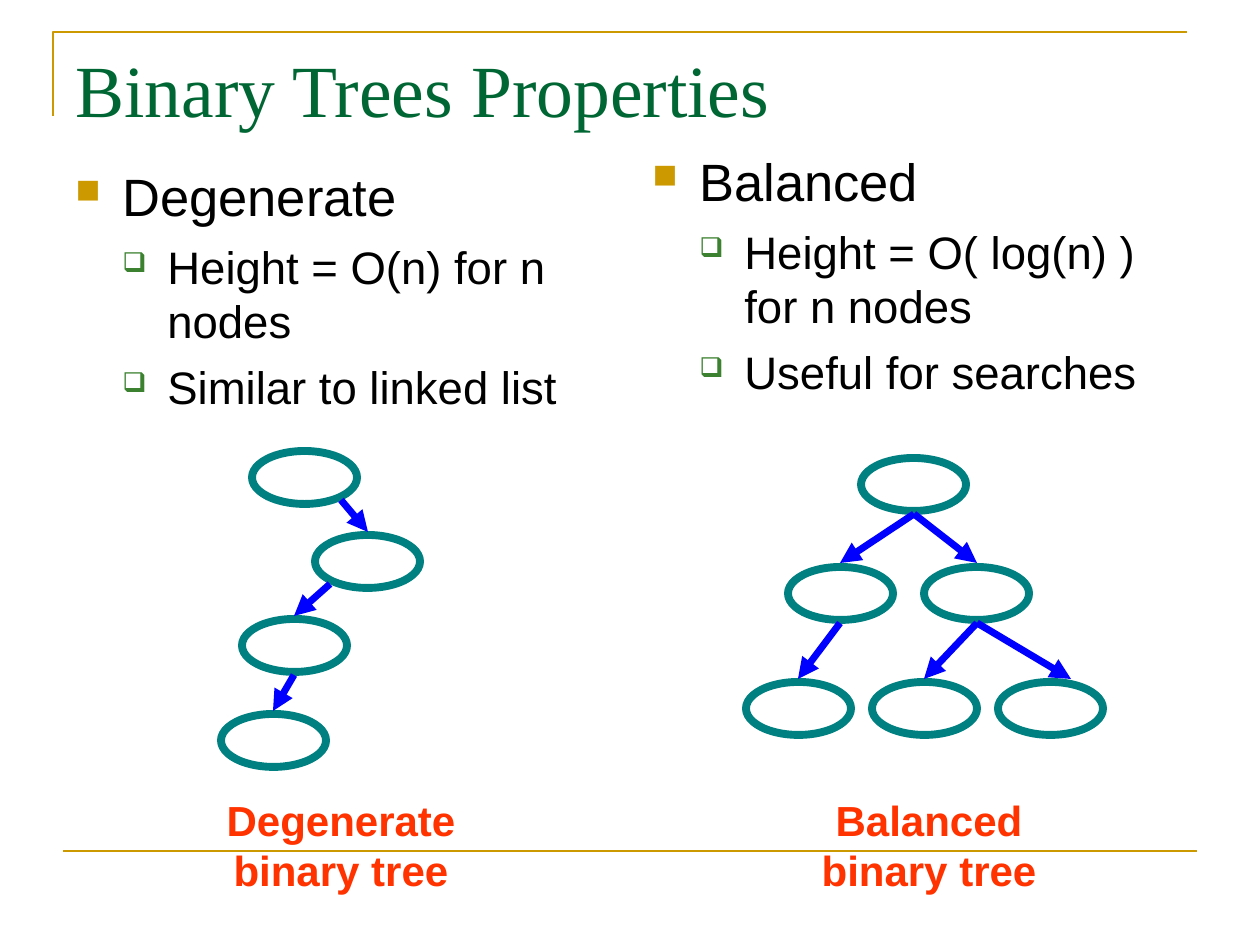
from lxml.etree import SubElement as Sub
from pptx import Presentation
from pptx.dml.color import RGBColor as Rgb
from pptx.enum.shapes import MSO_CONNECTOR as Con, MSO_SHAPE as Kind
from pptx.enum.text import PP_ALIGN as Align
from pptx.oxml.ns import qn
from pptx.util import Pt

UNIT = 914400 / 126
INK = {"gold": "CC9900", "title": "006633", "text": "000000", "box": "3B812F",
       "node": "008080", "edge": "0000FF", "label": "FF3300"}
NODE = (105, 53)
LEVELS = [
    {"size": 30, "gap": 7.5, "left": 47, "hang": 47, "mark": "■", "ink": "gold", "pct": 65},
    {"size": 26, "gap": 6.5, "left": 92, "hang": 45, "mark": "❑", "ink": "box", "pct": 60},
]
LISTS = [
    ((63, 158, 552, 624),
     ["Degenerate", "Height = O(n) for n nodes", "Similar to linked list"]),
    ((640, 143, 527, 625),
     ["Balanced", "Height = O( log(n) ) for n nodes", "Useful for searches"]),
]
NODES = [(252, 451), (315, 535), (242, 619), (221, 714),
         (861, 458), (788, 567), (924, 567), (746, 682), (872, 682), (998, 682)]
EDGES = [(341, 500, 368, 532), (330, 584, 294, 616), (294, 675, 273, 711),
         (914, 514, 840, 563), (914, 514, 977, 563), (840, 623, 798, 679),
         (977, 623, 924, 679), (977, 623, 1071, 679)]
LABELS = [(210, "Degenerate binary tree"), (798, "Balanced binary tree")]


def px(*nums):
    """Turn pixel lengths into EMU."""
    return [round(n * UNIT) for n in nums]


def rgb(name):
    """Look up a named colour."""
    return Rgb.from_string(INK[name])


def stroke(item, ink, width):
    """Set the colour and width of a line."""
    item.line.color.rgb = rgb(ink)
    item.line.width = Pt(width)


def style(para, size, ink, font="Arial", bold=False):
    """Format every run of a paragraph."""
    for run in para.runs:
        run.font.size = Pt(size)
        run.font.name = font
        run.font.bold = bold
        run.font.color.rgb = rgb(ink)


def add_text(slide, area, words):
    """Add a wrapping text box and return its frame."""
    frame = slide.shapes.add_textbox(*px(*area)).text_frame
    frame.word_wrap = True
    frame.text = words
    return frame


def add_mark(para, level):
    """Give a paragraph its indent and bullet."""
    left, hang = px(level["left"], level["hang"])
    props = para._p.get_or_add_pPr()
    props.set("marL", str(left))
    props.set("indent", str(-hang))
    tint = Sub(props, qn("a:buClr"))
    Sub(tint, qn("a:srgbClr"), val=INK[level["ink"]])
    Sub(props, qn("a:buSzPct"), val=str(level["pct"] * 1000))
    Sub(props, qn("a:buChar"), char=level["mark"])


def add_list(slide, area, lines):
    """Add a heading with bulleted points below it."""
    frame = add_text(slide, area, "\n".join(lines))
    for i, para in enumerate(frame.paragraphs):
        level = LEVELS[min(i, 1)]
        para.level = min(i, 1)
        para.space_before = Pt(level["gap"])
        add_mark(para, level)
        style(para, level["size"], "text")


def add_node(slide, left, top):
    """Add one hollow tree node."""
    node = slide.shapes.add_shape(Kind.OVAL, *px(left, top, *NODE))
    node.shadow.inherit = False
    node.fill.background()
    stroke(node, "node", 4.5)


def add_line(slide, ends, ink, width, arrow=False):
    """Add a straight line, with an arrowhead if asked."""
    line = slide.shapes.add_connector(Con.STRAIGHT, *px(*ends))
    stroke(line, ink, width)
    if arrow:
        Sub(line.line._get_or_add_ln(), qn("a:tailEnd"), type="triangle")
    Sub(line._element.spPr, qn("a:effectLst"))


def add_frame(slide):
    """Add the corner rule at the top and the rule at the foot."""
    start, *rest = [px(53, 116), px(53, 32), px(1187, 32)]
    pen = slide.shapes.build_freeform(*start)
    pen.add_line_segments(rest, close=False)
    rule = pen.convert_to_shape()
    rule.shadow.inherit = False
    rule.fill.background()
    stroke(rule, "gold", 1.5)
    add_line(slide, (63, 851, 1197, 851), "gold", 1.5)


def add_label(slide, left, words):
    """Add a centred caption under a tree."""
    para = add_text(slide, (left, 788, 262, 113), words).paragraphs[0]
    para.alignment = Align.CENTER
    style(para, 24, "label", bold=True)


def main():
    """Build and save the slide."""
    deck = Presentation()
    deck.slide_width, deck.slide_height = px(1260, 945)
    slide = deck.slides.add_slide(deck.slide_layouts[6])
    add_frame(slide)
    title = add_text(slide, (63, 38, 1134, 158), "Binary Trees Properties")
    style(title.paragraphs[0], 42, "title", "Times New Roman")
    for area, lines in LISTS:
        add_list(slide, area, lines)
    for spot in NODES:
        add_node(slide, *spot)
    for ends in EDGES:
        add_line(slide, ends, "edge", 4, arrow=True)
    for left, words in LABELS:
        add_label(slide, left, words)
    deck.save("out.pptx")


if __name__ == "__main__":
    main()
